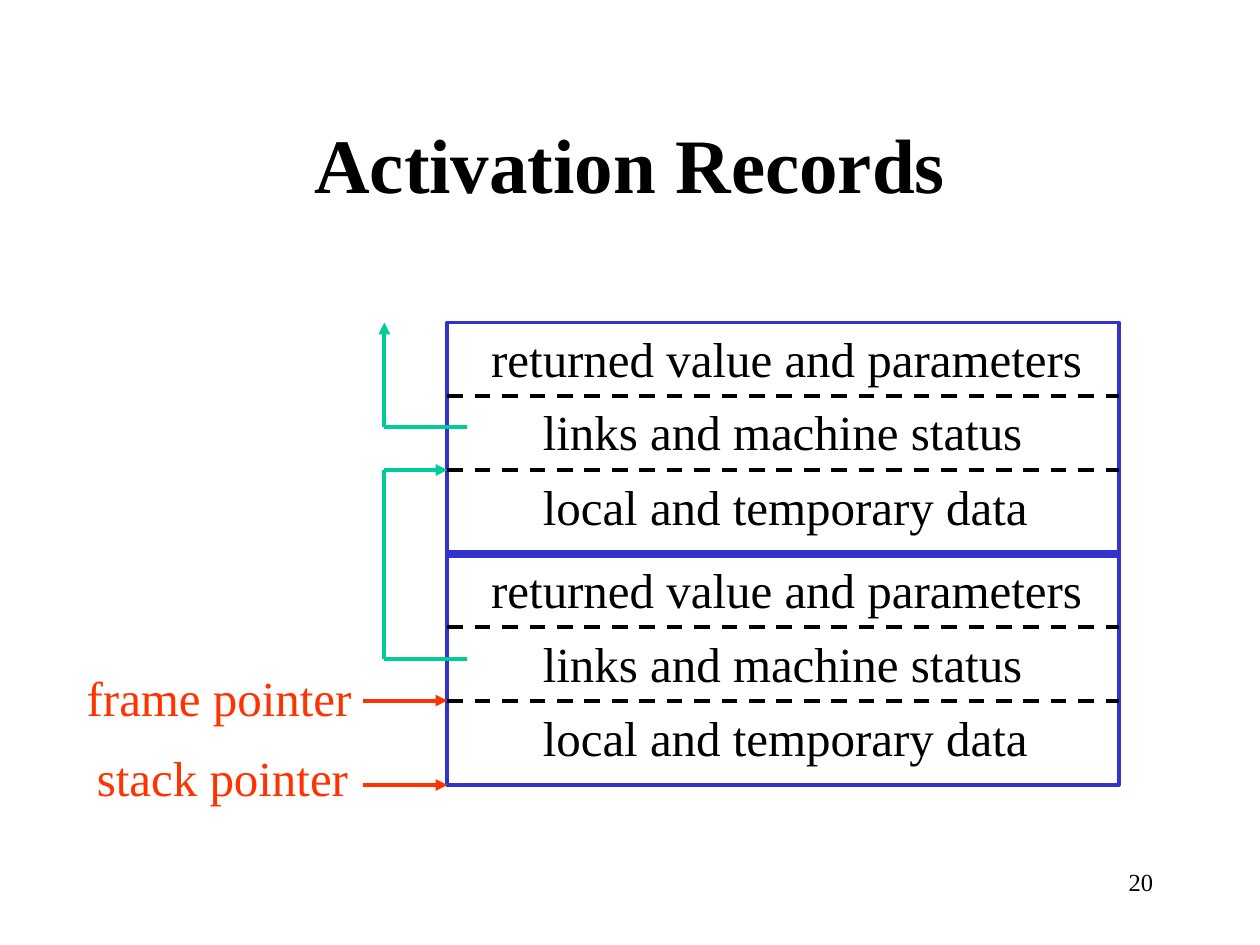
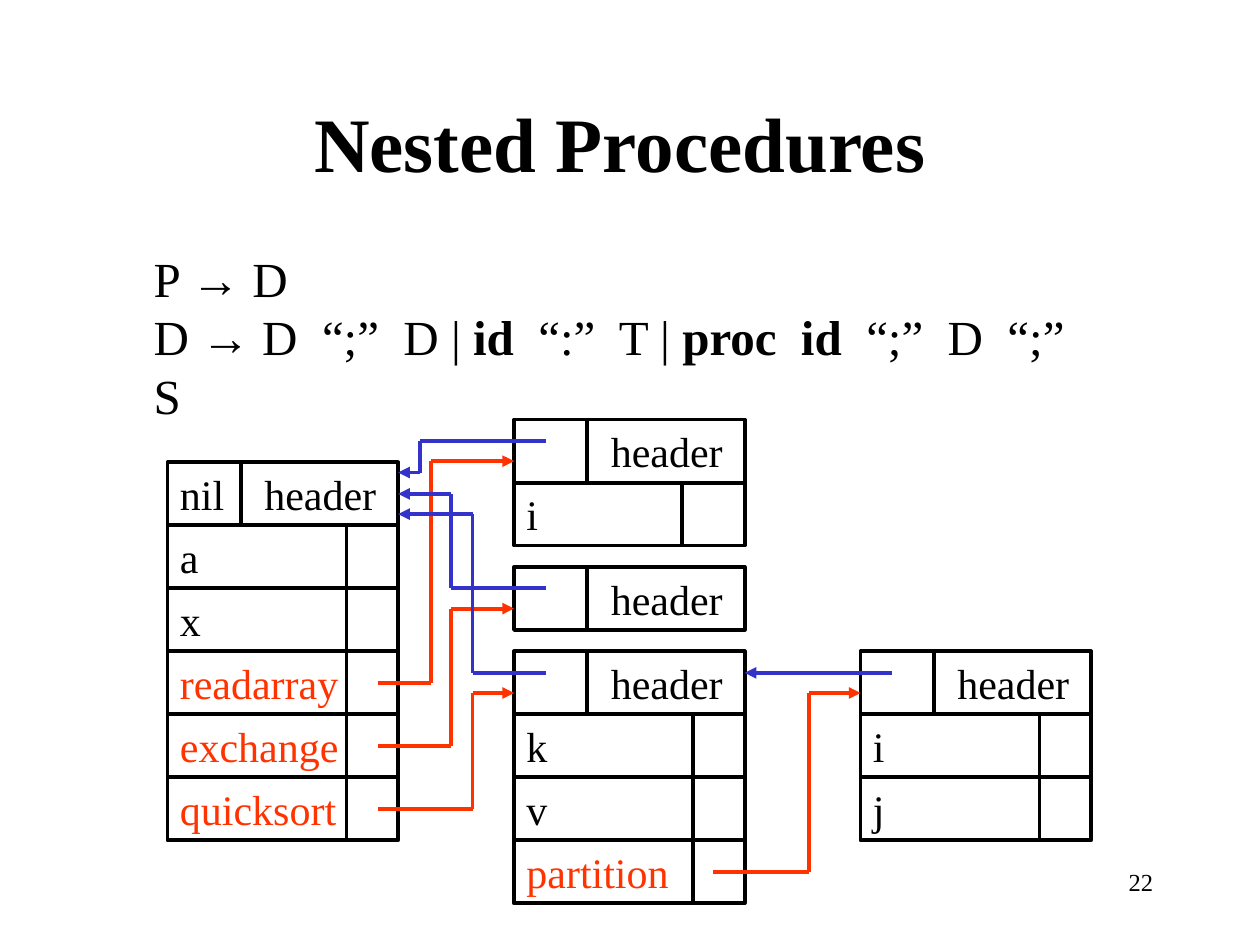
from dataclasses import dataclass
from itertools import pairwise

from lxml.etree import SubElement
from pptx import Presentation
from pptx.dml.color import RGBColor as RGB
from pptx.enum.dml import MSO_LINE as Dash
from pptx.enum.shapes import MSO_CONNECTOR as Conn, MSO_SHAPE as Shape
from pptx.enum.text import MSO_ANCHOR as Anchor, PP_ALIGN as Align
from pptx.oxml.ns import qn
from pptx.util import Inches, Pt


@dataclass(frozen=True)
class Theme:
    ink: RGB = RGB(0x00, 0x00, 0x00)
    blue: RGB = RGB(0x33, 0x33, 0xCC)
    green: RGB = RGB(0x00, 0xCC, 0x99)
    red: RGB = RGB(0xFF, 0x33, 0x00)
    serif: str = "Times New Roman"
    sans: str = "Arial"
    title: int = 44
    body: int = 28
    cell: int = 24
    page: int = 14
    thin: float = 2.25
    thick: float = 4.5


@dataclass(frozen=True)
class Box:
    x: float
    y: float
    w: float
    h: float

    @property
    def args(self):
        return [Inches(v) for v in (self.x, self.y, self.w, self.h)]

    @property
    def right(self):
        return self.x + self.w


@dataclass(frozen=True)
class Table:
    x: float
    y: float
    rows: tuple
    slot: float = 1.42
    nil: str = ""


T = Theme()
ROW, WIDE, SPLIT = 0.5, 1.83, 0.58


def write(frame, text, size=T.body, color=T.ink, bold=False, align=Align.LEFT):
    frame.word_wrap = True
    lines = [text] if isinstance(text, str) else text
    for n, line in enumerate(lines):
        para = frame.add_paragraph() if n else frame.paragraphs[0]
        para.alignment = align
        parts = [(line, {})] if isinstance(line, str) else line
        for words, style in parts:
            run = para.add_run()
            run.text = words
            font = run.font
            font.name = style.get("face", T.serif)
            font.bold = style.get("bold", bold)
            font.size = Pt(size)
            font.color.rgb = color


def label(slide, box, text, **style):
    write(slide.shapes.add_textbox(*box.args).text_frame, text, **style)


def frame(slide, box, color=T.ink):
    rect = slide.shapes.add_shape(Shape.RECTANGLE, *box.args)
    rect.shadow.inherit = False
    rect.fill.background()
    rect.line.color.rgb = color
    rect.line.width = Pt(T.thin)
    return rect


def rule(slide, start, end, color=T.ink, width=T.thin, dash=None, head=False):
    ends = [Inches(v) for v in (*start, *end)]
    line = slide.shapes.add_connector(Conn.STRAIGHT, *ends)
    line.line.color.rgb = color
    line.line.width = Pt(width)
    if dash:
        line.line.dash_style = dash
    props = line.element.spPr
    if head:
        SubElement(props.find(qn("a:ln")), qn("a:tailEnd"), type="triangle")
    SubElement(props, qn("a:effectLst"))
    return line


def join(line, rect):
    line.begin_connect(rect, 1)
    line.end_connect(rect, 3)


def route(slide, points, color):
    last = len(points) - 2
    for n, (start, end) in enumerate(pairwise(points)):
        rule(slide, start, end, color, head=n == last)


def bend(slide, start, lane, end, color):
    route(slide, [start, (lane, start[1]), (lane, end[1]), end], color)


def page(deck, title, box, number):
    slide = deck.slides.add_slide(deck.slide_layouts[5])
    head = slide.shapes.title
    head.left, head.top, head.width, head.height = box.args
    head.text_frame.vertical_anchor = Anchor.MIDDLE
    write(head.text_frame, title, size=T.title, bold=True, align=Align.CENTER)
    label(slide, Box(7.17, 6.83, 2.08, 0.5), number, size=T.page,
          align=Align.RIGHT)
    return slide


def stack(slide, box):
    rect = frame(slide, box, T.blue)
    half = box.h / 2
    rows = [(0, 0.25, "returned value and parameters"),
            (0.58, 0.66, "links and machine status"),
            (1.17, 0.66, "local and temporary data")]
    for top in (box.y, box.y + half):
        for drop, dent, text in rows:
            y = top + drop
            if drop:
                rule(slide, (box.x, y), (box.right, y), dash=Dash.DASH)
            label(slide, Box(box.x + dent, y, box.w - dent, 0.57), text)
    mid = box.y + half
    join(rule(slide, (box.x, mid), (box.right, mid), T.blue, T.thick), rect)


def links(slide, box):
    lane, tip = box.x - 0.5, box.x + 0.16
    upper, lower = box.y + 0.83, box.y + 2.67
    bend(slide, (tip, lower), lane, (box.x, box.y + 1.17), T.green)
    route(slide, [(tip, upper), (lane, upper), (lane, box.y)], T.green)
    for text, drop, x, rise in (("frame pointer", 3, 0.59, 0.31),
                                ("stack pointer", box.h, 0.67, 0.35)):
        y = box.y + drop
        rule(slide, (box.x - 0.67, y), (box.x, y), T.red, head=True)
        label(slide, Box(x, y - rise, 2.4, 0.57), text, color=T.red)


def table(slide, tab, procs):
    x, y = tab.x, tab.y
    count = len(tab.rows) + 1
    box = Box(x, y, WIDE, count * ROW)
    rect = frame(slide, box)
    rule(slide, (x + SPLIT, y), (x + SPLIT, y + ROW))
    if tab.nil:
        label(slide, Box(x, y, SPLIT, ROW), tab.nil, size=T.cell)
    label(slide, Box(x + 0.67, y, WIDE - 0.67, ROW), "header", size=T.cell)
    for n, name in enumerate(tab.rows, 1):
        top = y + n * ROW
        line = rule(slide, (x, top), (box.right, top))
        if 2 * n == count:
            join(line, rect)
        label(slide, Box(x, top, WIDE - 0.3, ROW), name, size=T.cell,
              color=T.red if name in procs else T.ink)
    if tab.rows:
        rule(slide, (x + tab.slot, y + ROW), (x + tab.slot, y + box.h))


def call(slide, owner, name, child, lane, out=1.67):
    y = owner.y + (owner.rows.index(name) + 1.5) * ROW
    bend(slide, (owner.x + out, y), lane, (child.x, child.y + 0.33), T.red)


def back(slide, child, lane, owner, drop):
    start = child.x + 0.25, child.y + 0.17
    bend(slide, start, lane, (owner.x + WIDE, owner.y + drop), T.blue)


def records(deck):
    slide = page(deck, "Activation Records", Box(0.75, 0.67, 8.5, 1.25), "20")
    box = Box(3.55, 2.56, 5.33, 3.67)
    stack(slide, box)
    links(slide, box)


def grammar(slide, box):
    arrow = ("→", {"face": T.sans})
    bold = {"bold": True}
    label(slide, box, [
        [("P ", {}), arrow, (" D", {})],
        [("D ", {}), arrow, (" D  “;”  D | ", {}), ("id", bold),
         ("  “:”  T | ", {}), ("proc  id", bold), ("  “;”  D  “;”  S", {})],
    ])


def nested(deck):
    slide = page(deck, "Nested Procedures", Box(0.67, 0.5, 8.5, 1.25), "22")
    grammar(slide, Box(1.12, 1.92, 7.79, 1.04))
    procs = ("readarray", "exchange", "quicksort")
    main = Table(1.33, 3.67, ("a", "x", *procs), nil="nil")
    read = Table(4.08, 3.33, ("i",), slot=1.33)
    swap = Table(4.08, 4.5, ())
    sort = Table(4.08, 5.17, ("k", "v", "partition"))
    part = Table(6.83, 5.17, ("i", "j"))
    for tab in (main, read, swap, sort, part):
        table(slide, tab, (*procs, "partition"))
    y = part.y + 0.17
    rule(slide, (part.x + 0.25, y), (sort.x + WIDE, y), T.blue, head=True)
    call(slide, sort, "partition", part, 6.42, out=1.58)
    kids = zip(procs, (read, swap, sort), (3.42, 3.58, 3.75),
               (3.33, 3.58, 3.75), (0.08, 0.25, 0.41))
    for name, child, lane, home, drop in kids:
        call(slide, main, name, child, lane)
        back(slide, child, home, main, drop)


def build():
    deck = Presentation()
    deck.slide_width, deck.slide_height = Inches(10), Inches(7.5)
    records(deck)
    nested(deck)
    deck.save("out.pptx")


if __name__ == "__main__":
    build()
